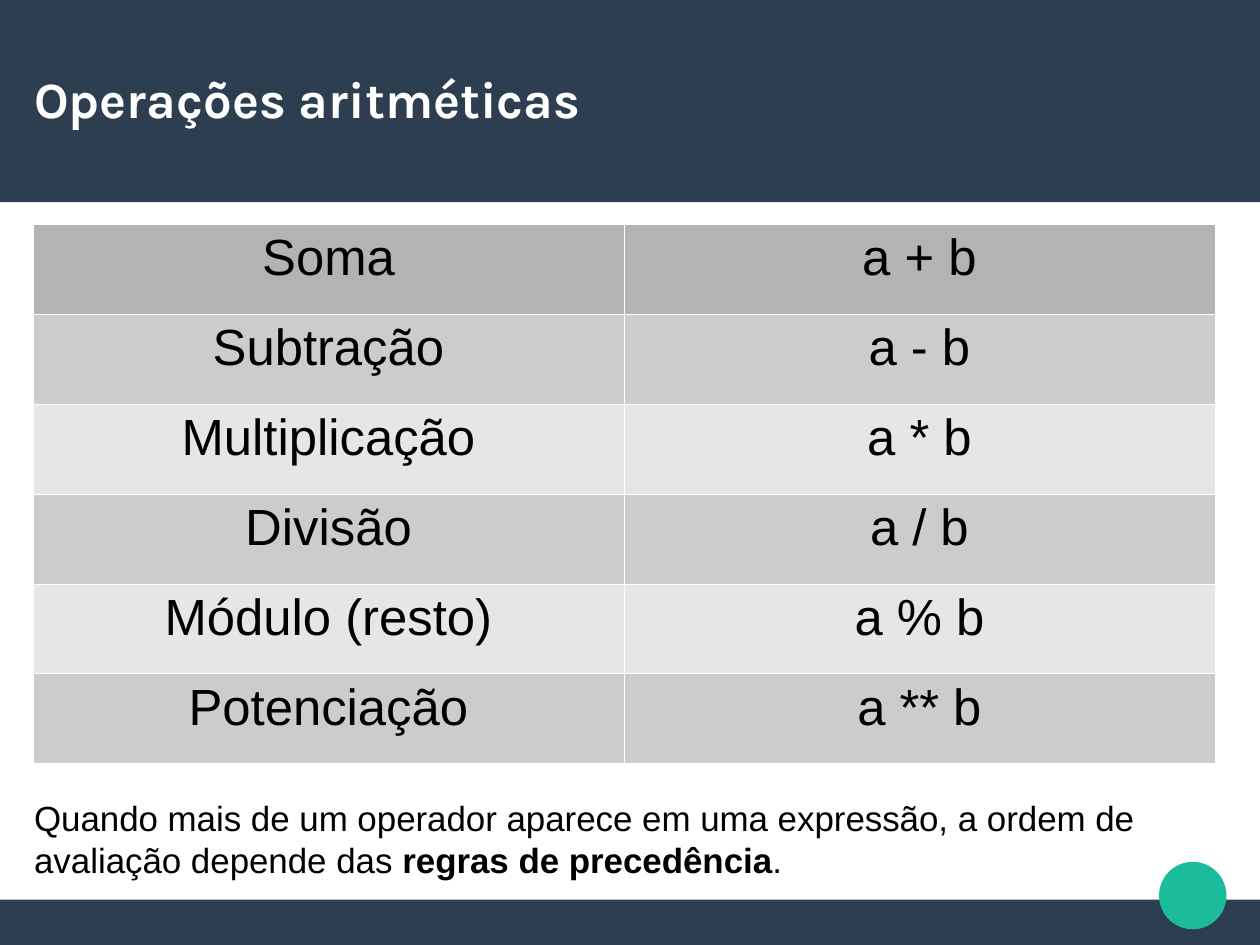
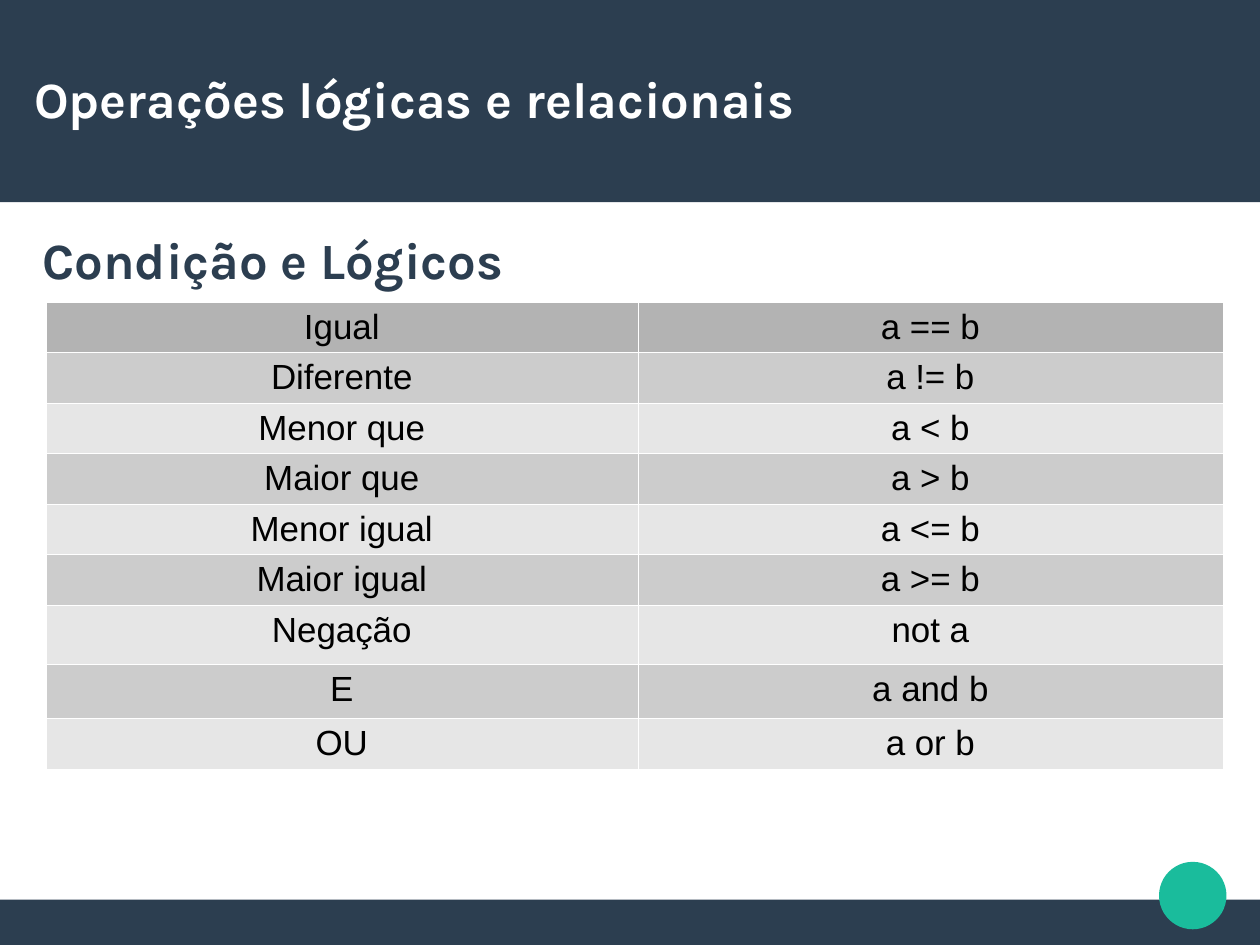
from pptx import Presentation
from pptx import util as u
from pptx.dml.color import RGBColor
from pptx.enum import shapes, text
from pptx.oxml.ns import qn
from lxml import etree

W, H = 28 / 2.54, 21 / 2.54
NAVY, GREEN, WHITE, BLACK = "2C3E50", "1ABC9C", "FFFFFF", "000000"
HEADER, BANDS = "B3B3B3", ("E6E6E6", "CCCCCC")
RECT, OVAL = shapes.MSO_SHAPE.RECTANGLE, shapes.MSO_SHAPE.OVAL
FRAME = [
    (RECT, (0, 7.87, W, H - 7.87), NAVY),
    (RECT, (0, 0, W, 1.77), NAVY),
    (OVAL, (10.14, 7.54, 0.59, 0.59), GREEN),
]
SLIDES = [
    dict(
        title="Operações aritméticas",
        rows=[("Soma", "a + b"), ("Subtração", "a - b"), ("Multiplicação", "a * b"),
              ("Divisão", "a / b"), ("Módulo (resto)", "a % b"), ("Potenciação", "a ** b")],
        origin=(0.29, 1.96), widths=(5.17, 5.17), heights=[4.72 / 6] * 6, size=32,
        box=(0.2, 6.92, 10.4, 0.88), margins=(0.1, 0.05),
        runs=[("Quando mais de um operador aparece em uma expressão, "
               "a ordem de avaliação depende das ", False),
              ("regras de precedência", True), (".", False)],
        style=dict(size=22),
    ),
    dict(
        title="Operações lógicas e relacionais",
        rows=[("Igual", "a == b"), ("Diferente", "a != b"), ("Menor que", "a < b"),
              ("Maior que", "a > b"), ("Menor igual", "a <= b"), ("Maior igual", "a >= b"),
              ("Negação", "not a"), ("E", "a and b"), ("OU", "a or b")],
        origin=(0.4, 2.64), widths=(5.18, 5.12), heights=[0.44] * 6 + [0.52, 0.47, 0.44], size=22,
        box=(0.37, 2, 10.4, 0.6), margins=(0, 0),
        runs=[("Condição e Lógicos", True)],
        style=dict(size=32, font="Karla", color=NAVY),
    ),
]


def rgb(value):
    return RGBColor.from_string(value)


def place(sp, box):
    sp.left, sp.top, sp.width, sp.height = map(u.Inches, box)


def write(p, runs, size=22, font="Arial", color=BLACK, align="LEFT"):
    p.alignment = text.PP_ALIGN[align]
    for content, bold in runs:
        r = p.add_run()
        r.text = content
        r.font.name, r.font.size, r.font.bold = font, u.Pt(size), bold
        r.font.color.rgb = rgb(color)


def fit(tf, margins, anchor="TOP"):
    tf.word_wrap = True
    tf.auto_size = text.MSO_AUTO_SIZE.NONE
    tf.vertical_anchor = text.MSO_ANCHOR[anchor]
    tf.margin_left = tf.margin_right = u.Inches(margins[0])
    tf.margin_top = tf.margin_bottom = u.Inches(margins[1])
    return tf.paragraphs[0]


def add_frame(s, layout):
    for ph in list(layout.placeholders)[1:]:
        ph.element.getparent().remove(ph.element)
    tree = layout.placeholders[0].element.getparent()
    for i, (kind, box, color) in enumerate(FRAME):
        sp = s.shapes.add_shape(kind, *map(u.Inches, box))
        sp.shadow.inherit = False
        sp.fill.solid()
        sp.fill.fore_color.rgb = rgb(color)
        sp.line.fill.background()
        tree.insert(2 + i, sp.element)


def add_borders(cell):
    tcPr = cell._tc.get_or_add_tcPr()
    for i, side in enumerate(("lnL", "lnR", "lnT", "lnB")):
        ln = etree.Element(qn(f"a:{side}"), w=str(u.Pt(0.06)))
        fill = etree.SubElement(ln, qn("a:solidFill"))
        etree.SubElement(fill, qn("a:srgbClr"), val=WHITE)
        tcPr.insert(i, ln)


def add_table(s, rows, origin, widths, heights, size):
    box = (*origin, sum(widths), sum(heights))
    table = s.shapes.add_table(len(rows), len(widths), *map(u.Inches, box)).table
    table.first_row = table.horz_banding = False
    for col, width in zip(table.columns, widths):
        col.width = u.Inches(width)
    for i, (row, height) in enumerate(zip(rows, heights)):
        table.rows[i].height = u.Inches(height)
        for j, content in enumerate(row):
            cell = table.cell(i, j)
            cell.fill.solid()
            cell.fill.fore_color.rgb = rgb(BANDS[i % 2] if i else HEADER)
            add_borders(cell)
            write(cell.text_frame.paragraphs[0], [(content, False)], size=size, align="CENTER")


def main():
    prs = Presentation()
    prs.slide_width, prs.slide_height = u.Inches(W), u.Inches(H)
    layout = prs.slide_layouts[5]
    for i, d in enumerate(SLIDES):
        s = prs.slides.add_slide(layout)
        if i == 0:
            add_frame(s, layout)
        title = s.shapes.title
        place(title, (0.3, 0.33, 8.9, 1.05))
        write(fit(title.text_frame, (0, 0), "MIDDLE"), [(d["title"], True)],
              size=32, font="Karla", color=WHITE)
        add_table(s, d["rows"], d["origin"], d["widths"], d["heights"], d["size"])
        sp = s.shapes.add_textbox(*map(u.Inches, d["box"]))
        write(fit(sp.text_frame, d["margins"]), d["runs"], **d["style"])
    prs.save("out.pptx")


if __name__ == "__main__":
    main()
